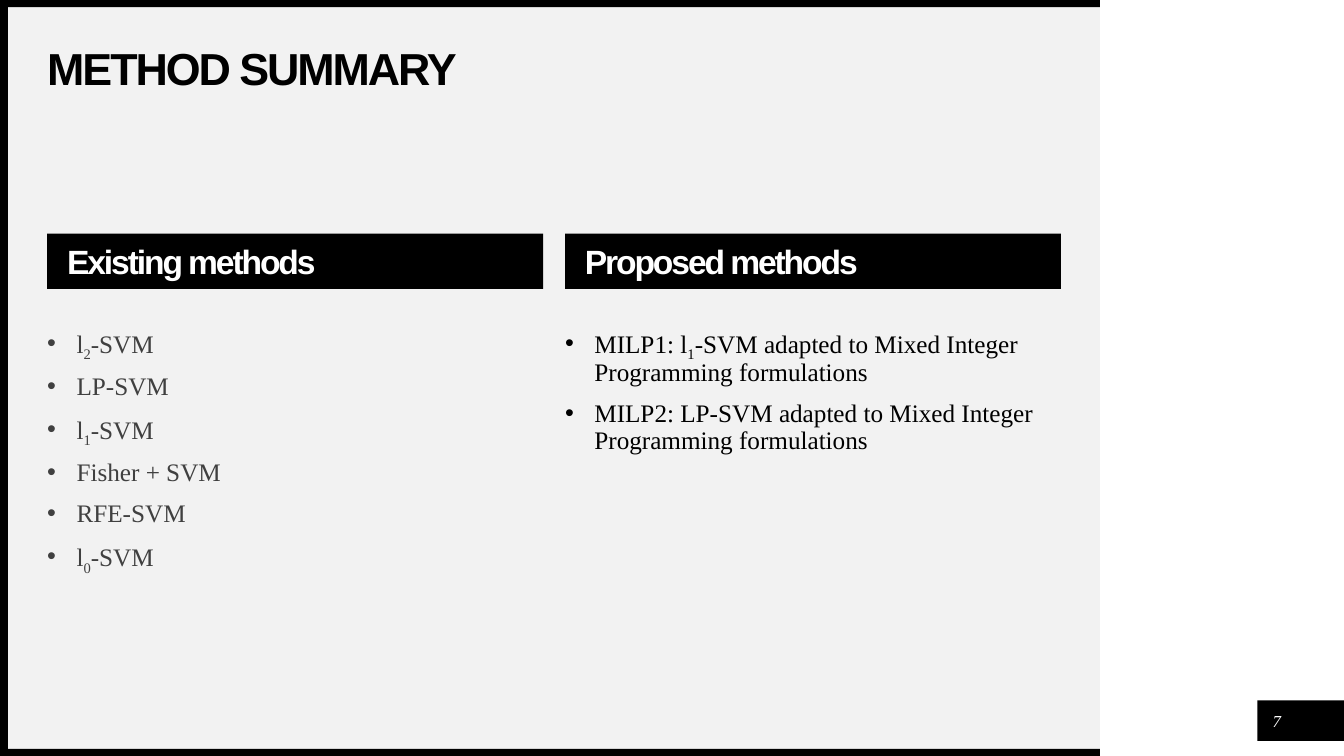
from lxml.etree import SubElement
from pptx import Presentation
from pptx.dml.color import RGBColor
from pptx.enum.shapes import MSO_SHAPE
from pptx.enum.text import MSO_ANCHOR, PP_ALIGN
from pptx.oxml.ns import qn
from pptx.util import Cm, Pt

BLACK = RGBColor(0x00, 0x00, 0x00)
WHITE = RGBColor(0xFF, 0xFF, 0xFF)
PANEL_GREY = RGBColor(0xF2, 0xF2, 0xF2)
TEXT_GREY = RGBColor(0x40, 0x40, 0x40)

SLIDE_W, SLIDE_H = 33.87, 19.05
PANEL_RIGHT = 27.72
EDGE = 0.18
MARGIN = 1.19
COLUMN_W, COLUMN_STEP = 12.5, 13.05

# Text between underscores is set as a subscript
COLUMNS = [
    ("Existing methods", TEXT_GREY,
     ["l_2_-SVM", "LP-SVM", "l_1_-SVM", "Fisher + SVM", "RFE-SVM", "l_0_-SVM"]),
    ("Proposed methods", BLACK,
     ["MILP1: l_1_-SVM adapted to Mixed Integer Programming formulations",
      "MILP2: LP-SVM adapted to Mixed Integer Programming formulations"]),
]


class MethodSlide:
    heading_font = "Arial"
    body_font = "Times New Roman"
    line_spacing = 0.9

    def __init__(self, slide):
        self.slide = slide

    def rect(self, x, y, w, h, color):
        s = self.slide.shapes.add_shape(
            MSO_SHAPE.RECTANGLE, Cm(x), Cm(y), Cm(w), Cm(h))
        s.shadow.inherit = False
        s.fill.solid()
        s.fill.fore_color.rgb = color
        s.line.fill.background()
        return s

    def textbox(self, x, y, w, h):
        return self.slide.shapes.add_textbox(Cm(x), Cm(y), Cm(w), Cm(h))

    def frame(self, s, anchor=MSO_ANCHOR.MIDDLE, left=0, top=0):
        tf = s.text_frame
        tf.word_wrap = True
        tf.vertical_anchor = anchor
        tf.margin_left, tf.margin_top = Cm(left), Cm(top)
        tf.margin_right = tf.margin_bottom = 0
        return tf

    def style(self, r, font, size, color, bold=False, italic=False):
        r.font.name = font
        r.font.size = Pt(size)
        r.font.color.rgb = color
        r.font.bold = bold
        r.font.italic = italic

    def heading(self, s, text, size, color, left=0, top=0):
        tf = self.frame(s, left=left, top=top)
        tf.text = text
        p = tf.paragraphs[0]
        p.alignment = PP_ALIGN.LEFT
        p.line_spacing = self.line_spacing
        r = p.runs[0]
        self.style(r, self.heading_font, size, color, bold=True)
        r.font._element.set("spc", "-150")

    def bullets(self, x, y, w, h, items, color):
        tf = self.frame(self.textbox(x, y, w, h), MSO_ANCHOR.TOP)
        for i, item in enumerate(items):
            p = tf.add_paragraph() if i else tf.paragraphs[0]
            pPr = p._p.get_or_add_pPr()
            pPr.set("marL", str(Cm(0.74)))
            pPr.set("indent", str(-Cm(0.74)))
            SubElement(pPr, qn("a:buFont")).set("typeface", "Arial")
            SubElement(pPr, qn("a:buChar")).set("char", "•")
            p.line_spacing = self.line_spacing
            if i:
                p.space_before = Pt(10)
            for k, part in enumerate(item.split("_")):
                r = p.add_run()
                r.text = part
                self.style(r, self.body_font, 18, color)
                if k % 2:
                    r.font._element.set("baseline", "-25000")

    def page_number(self, x, y, size, text):
        tf = self.frame(self.textbox(x, y, size, size))
        tf.text = text
        p = tf.paragraphs[0]
        p.alignment = PP_ALIGN.CENTER
        self.style(p.runs[0], self.body_font, 12, WHITE, italic=True)


def main():
    prs = Presentation()
    prs.slide_width, prs.slide_height = Cm(SLIDE_W), Cm(SLIDE_H)
    page = MethodSlide(prs.slides.add_slide(prs.slide_layouts[6]))

    # Grey panel with black edges
    page.rect(EDGE, EDGE, PANEL_RIGHT - EDGE, SLIDE_H - 2 * EDGE, PANEL_GREY)
    for y in (0, SLIDE_H - EDGE):
        page.rect(0, y, PANEL_RIGHT, EDGE, BLACK)
    page.rect(0, 0, 0.2, SLIDE_H, BLACK)

    # Title
    title = page.textbox(MARGIN, 1.19, 25.55, 1.19)
    page.heading(title, "METHOD SUMMARY", 32, BLACK)

    # Two columns of methods
    for i, (name, color, methods) in enumerate(COLUMNS):
        x = MARGIN + i * COLUMN_STEP
        bar = page.rect(x, 5.89, COLUMN_W, 1.39, BLACK)
        page.heading(bar, name, 24, WHITE, left=0.5, top=0.1)
        page.bullets(x, 8.28, COLUMN_W, 7.01, methods, color)

    # Page number
    page.rect(31.69, 17.65, SLIDE_W - 31.69, 1.02, BLACK)
    page.page_number(31.8, 17.78, 0.76, "7")

    prs.save("out.pptx")


if __name__ == "__main__":
    main()
